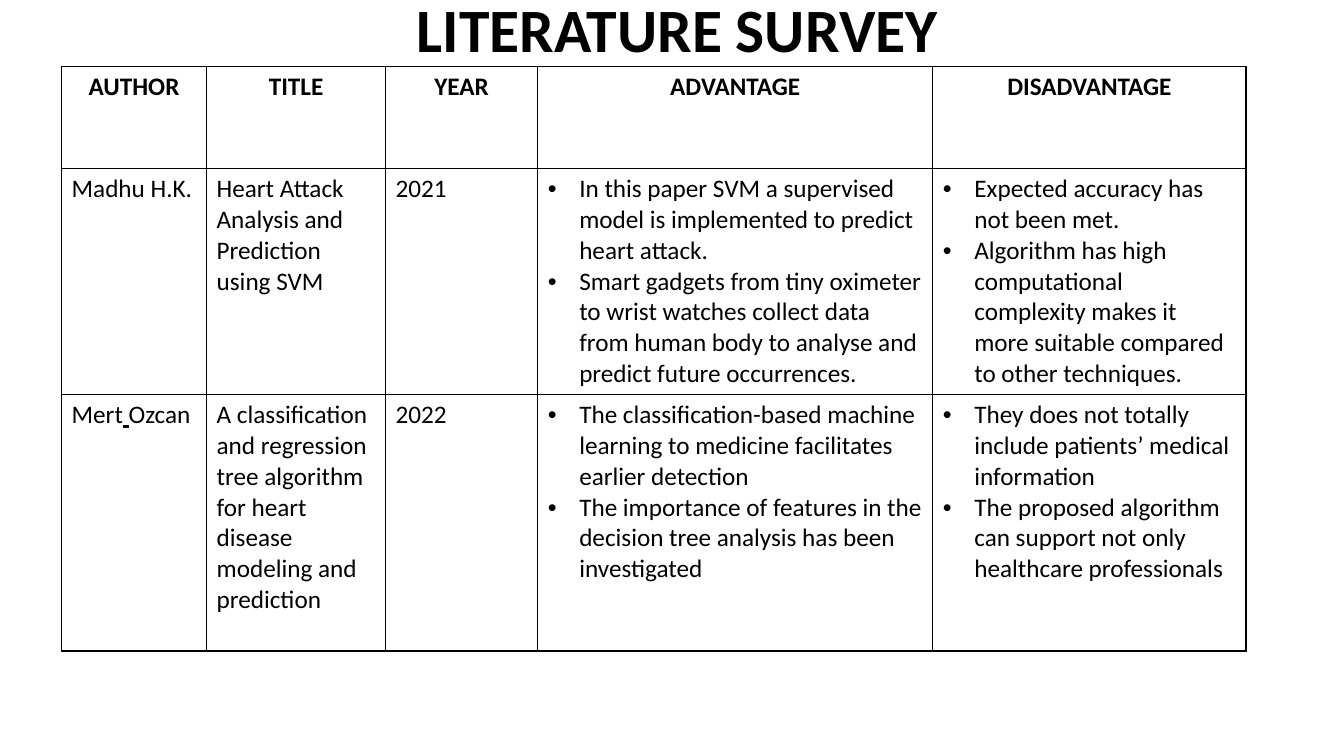
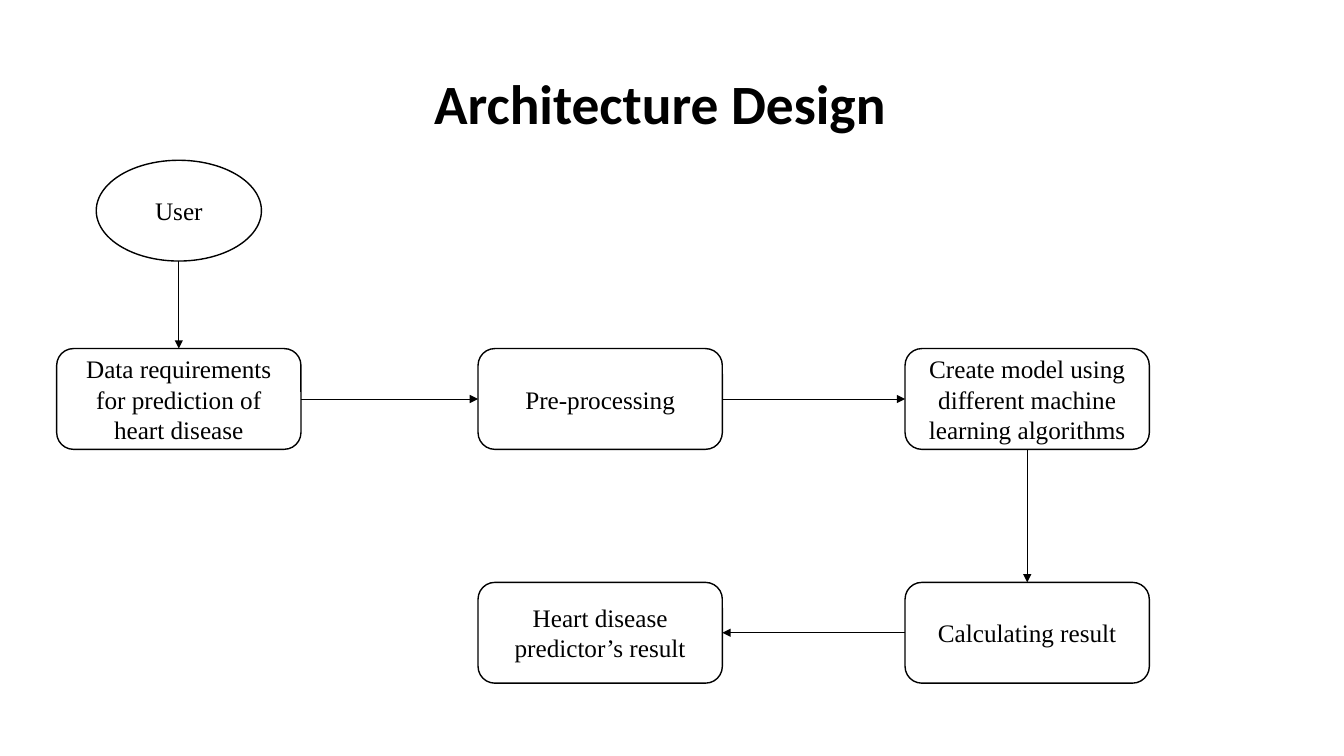
from dataclasses import dataclass

from lxml import etree
from pptx import Presentation
from pptx.dml.color import RGBColor
from pptx.enum import shapes, text
from pptx.oxml import ns
from pptx.util import Pt


@dataclass(frozen=True)
class Theme:
    ink: RGBColor = RGBColor(0, 0, 0)
    paper: RGBColor = RGBColor(255, 255, 255)
    sans: str = "Calibri"
    serif: str = "Times New Roman"
    body: float = 18
    outline: float = 1
    arrow: float = 0.5
    bullet_indent: float = 22.5


T = Theme()
LEFT, CENTER = text.PP_ALIGN.LEFT, text.PP_ALIGN.CENTER

# Content: a list in a cell is bulleted, a tuple is one paragraph of several runs
SURVEY_TITLE = dict(label="LITERATURE SURVEY", box=(70, -18.7, 828, 84), size=44)
SURVEY_AT = (44, 47.6)
COLUMNS = [("AUTHOR", 103.6), ("TITLE", 127.9), ("YEAR", 108.6),
           ("ADVANTAGE", 282.2), ("DISADVANTAGE", 223.8)]
ROW_HEIGHTS = [73, 161.4, 183]
PAPERS = [
    ["Madhu H.K.", "Heart Attack Analysis and Prediction using SVM", "2021",
     ["In this paper SVM a supervised model is implemented to predict heart attack.",
      "Smart gadgets from tiny oximeter to wrist watches collect data from human body "
      "to analyse and predict future occurrences."],
     ["Expected accuracy has not been met.",
      "Algorithm has high computational complexity makes it more suitable compared to "
      "other techniques."]],
    [("Mert", " ", "Ozcan"),
     "A classification and regression tree algorithm for heart disease modeling and prediction",
     "2022",
     ["The classification-based machine learning to medicine facilitates earlier detection",
      "The importance of features in the decision tree analysis has been investigated"],
     ["They does not totally include patients’ medical information",
      "The proposed algorithm can support not only healthcare professionals"]],
]

DESIGN_TITLE = dict(label="Architecture Design", box=(40.5, 54.3, 862, 44), size=39.6)
NODE_W, NODE_H, USER_W = 174.5, 72, 118
COL_X = [40.5, 341.5, 646.5]
ROW_Y = [114.5, 249, 416]
NODES = {  # key: (label, column, row)
    "user": ("User", 0, 0),
    "data": ("Data requirements for prediction of heart disease", 0, 1),
    "prep": ("Pre-processing", 1, 1),
    "model": ("Create model using different machine learning algorithms", 2, 1),
    "calc": ("Calculating result", 2, 2),
    "result": ("Heart disease predictor’s result", 1, 2),
}
TOP, LEFT_SIDE, BOTTOM, RIGHT_SIDE = range(4)
FLOW = [("user", BOTTOM, "data", TOP), ("data", RIGHT_SIDE, "prep", LEFT_SIDE),
        ("prep", RIGHT_SIDE, "model", LEFT_SIDE), ("model", BOTTOM, "calc", TOP),
        ("calc", LEFT_SIDE, "result", RIGHT_SIDE)]


def pts(*values):
    return [Pt(v) for v in values]


def write(tf, content, size=T.body, font=T.sans, bold=False, align=LEFT, spacing=None):
    """Fill a text frame; list items become bulleted paragraphs."""
    tf.word_wrap = True
    bulleted = isinstance(content, list)
    for i, item in enumerate(content if bulleted else [content]):
        p = tf.add_paragraph() if i else tf.paragraphs[0]
        p.alignment = align
        if spacing:
            p.line_spacing = spacing
        if bulleted:
            add_bullet(p)
        for part in item if isinstance(item, tuple) else (item,):
            r = p.add_run()
            r.text = part
            r.font.name, r.font.size, r.font.bold = font, Pt(size), bold
            r.font.color.rgb = T.ink
            if part.isspace():
                r.font.underline = True


def add_bullet(p):
    pPr = p._p.get_or_add_pPr()
    pPr.set("marL", str(Pt(T.bullet_indent)))
    pPr.set("indent", str(-Pt(T.bullet_indent)))
    etree.SubElement(pPr, ns.qn("a:buFont"), typeface="Arial")
    etree.SubElement(pPr, ns.qn("a:buChar"), char="•")


def add_borders(cell):
    tcPr = cell._tc.get_or_add_tcPr()
    for i, side in enumerate(("lnL", "lnR", "lnT", "lnB")):
        ln = etree.Element(ns.qn("a:" + side), w=str(Pt(T.outline)))
        fill = etree.SubElement(ln, ns.qn("a:solidFill"))
        etree.SubElement(fill, ns.qn("a:srgbClr"), val=str(T.ink))
        tcPr.insert(i, ln)


def add_slide(prs, label, box, size):
    s = prs.slides.add_slide(prs.slide_layouts[5])
    title = s.shapes.title
    title.left, title.top, title.width, title.height = pts(*box)
    tf = title.text_frame
    tf.auto_size = text.MSO_AUTO_SIZE.NONE
    tf.vertical_anchor = text.MSO_ANCHOR.MIDDLE
    tf.margin_top = tf.margin_bottom = 0
    write(tf, label, size=size, bold=True, align=CENTER, spacing=0.9)
    return s


def add_survey(s):
    widths = [w for _, w in COLUMNS]
    rows = [[name for name, _ in COLUMNS]] + PAPERS
    table = s.shapes.add_table(len(rows), len(widths),
                               *pts(*SURVEY_AT, sum(widths), sum(ROW_HEIGHTS))).table
    table.first_row = table.horz_banding = False
    for column, w in zip(table.columns, widths):
        column.width = Pt(w)
    for i, (row, h) in enumerate(zip(rows, ROW_HEIGHTS)):
        table.rows[i].height = Pt(h)
        for j, content in enumerate(row):
            cell = table.cell(i, j)
            cell.fill.solid()
            cell.fill.fore_color.rgb = T.paper
            add_borders(cell)
            write(cell.text_frame, content, bold=i == 0, align=LEFT if i else CENTER)


def add_node(s, key):
    label, col, row = NODES[key]
    is_user = key == "user"
    kind = shapes.MSO_SHAPE.OVAL if is_user else shapes.MSO_SHAPE.ROUNDED_RECTANGLE
    w = USER_W if is_user else NODE_W
    sp = s.shapes.add_shape(kind, *pts(COL_X[col] + (NODE_W - w) / 2, ROW_Y[row], w, NODE_H))
    sp.shadow.inherit = False
    sp.fill.solid()
    sp.fill.fore_color.rgb = T.paper
    sp.line.color.rgb, sp.line.width = T.ink, Pt(T.outline)
    sp.text_frame.vertical_anchor = text.MSO_ANCHOR.MIDDLE
    write(sp.text_frame, label, font=T.serif, align=CENTER)
    return sp


def side_point(sp, side):
    dx, dy = [(0.5, 0), (0, 0.5), (0.5, 1), (1, 0.5)][side]
    return int(sp.left + sp.width * dx), int(sp.top + sp.height * dy)


def add_arrow(s, start, start_side, end, end_side):
    c = s.shapes.add_connector(shapes.MSO_CONNECTOR.STRAIGHT,
                               *side_point(start, start_side), *side_point(end, end_side))
    # An oval numbers its connection sites differently, so only boxes are glued
    if start.auto_shape_type == shapes.MSO_SHAPE.ROUNDED_RECTANGLE:
        c.begin_connect(start, start_side)
    c.end_connect(end, end_side)
    c.line.color.rgb, c.line.width = T.ink, Pt(T.arrow)
    etree.SubElement(c.line._get_or_add_ln(), ns.qn("a:tailEnd"), type="triangle")
    etree.SubElement(c._element.spPr, ns.qn("a:effectLst"))


def main():
    prs = Presentation()
    prs.slide_width, prs.slide_height = pts(960, 540)

    # Literature survey
    add_survey(add_slide(prs, **SURVEY_TITLE))

    # Architecture flow
    s = add_slide(prs, **DESIGN_TITLE)
    nodes = {key: add_node(s, key) for key in NODES}
    for start, start_side, end, end_side in FLOW:
        add_arrow(s, nodes[start], start_side, nodes[end], end_side)

    prs.save("out.pptx")


if __name__ == "__main__":
    main()
